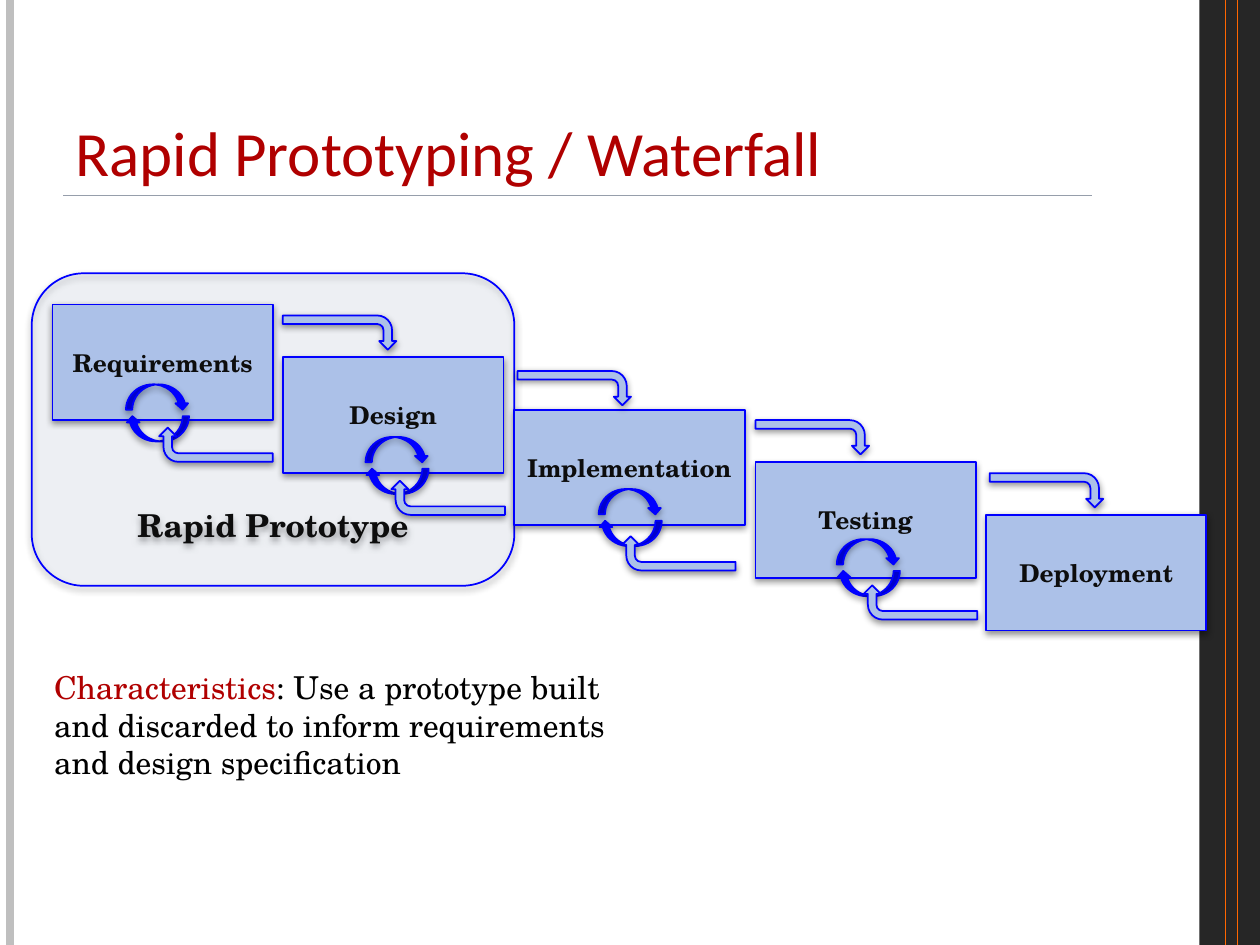
from dataclasses import dataclass

from lxml import etree
from pptx import Presentation
from pptx.dml.color import RGBColor
from pptx.enum.shapes import MSO_CONNECTOR, MSO_SHAPE
from pptx.enum.text import MSO_ANCHOR, PP_ALIGN
from pptx.oxml import parse_xml
from pptx.oxml.ns import qn
from pptx.util import Cm, Pt

RECT = MSO_SHAPE.RECTANGLE
ROUNDED = MSO_SHAPE.ROUNDED_RECTANGLE
BENT = MSO_SHAPE.BENT_ARROW
CURVED = MSO_SHAPE.CURVED_UP_ARROW
STRAIGHT = MSO_CONNECTOR.STRAIGHT
LEFT, CENTER = PP_ALIGN.LEFT, PP_ALIGN.CENTER
TOP, MIDDLE, BOTTOM = MSO_ANCHOR.TOP, MSO_ANCHOR.MIDDLE, MSO_ANCHOR.BOTTOM


@dataclass(frozen=True)
class Theme:
    accent: str = "B00000"
    ink: str = "000000"
    label: str = "0D0D0D"
    box: str = "ACC1E8"
    outline: str = "0000FF"
    band: str = "262626"
    title_font: str = "Calibri"
    body_font: str = "TeX Gyre Schola"
    title_size: int = 36
    body_size: int = 18
    stage_size: int = 14


THEME = Theme()

TITLE = "Rapid Prototyping / Waterfall"
PROTOTYPE = "Rapid Prototype"
CHARACTERISTICS = [
    ("Characteristics", THEME.accent),
    (": Use a prototype built and discarded to inform requirements and design specification", THEME.ink),
]
STAGES = [
    ("Requirements", 4.44),
    ("Design", 4.44),
    ("Implementation", 4.66),
    ("Testing", 4.44),
    ("Deployment", 4.44),
]
STAGE_LEFT, STAGE_TOP, STAGE_HEIGHT = 1.06, 6.14, 2.33
STAGE_GAP, STAGE_DROP = 0.21, 1.06
FORWARD = [(6.5, 5.56), (11.23, 6.68), (16.03, 7.67), (20.75, 8.74)]
FEEDBACK = [(4.01, 7.82), (8.69, 8.89), (13.34, 10.01), (18.21, 11)]
ITERATIONS = [(2.54, 7.75), (7.37, 8.81), (12.07, 9.86), (16.87, 10.87)]
BENT_SIZE = (0.69, 2.29)
CURVED_SIZE = (1.27, 0.51)
HALF_TURN_OFFSET = 0.64
RULES = [
    ((0.2, 0, 0.2, 19.05), "BFBFBF", 4.5),
    ((24.71, 0, 24.71, 19.05), "FF6600", 0.75),
    ((24.94, 0, 24.94, 19.05), "FF6600", 0.75),
    ((1.27, 3.94, 22.02, 3.94), "969EAB", 1),
]
SHADOW = (
    '<a:effectLst xmlns:a="http://schemas.openxmlformats.org/drawingml/2006/main">'
    '<a:outerShdw blurRad="50800" dist="20320" dir="5400000" rotWithShape="0">'
    '<a:srgbClr val="000000"><a:alpha val="42000"/></a:srgbClr>'
    "</a:outerShdw></a:effectLst>"
)


def add_rule(slide, ends, color, weight):
    rule = slide.shapes.add_connector(STRAIGHT, *map(Cm, ends))
    rule.line.color.rgb = RGBColor.from_string(color)
    rule.line.width = Pt(weight)
    etree.SubElement(rule._element.spPr, qn("a:effectLst"))


def add_outlined(shapes, preset, box, fill, rotation=0):
    shape = shapes.add_shape(preset, *map(Cm, box))
    shape.rotation = rotation
    shape.fill.solid()
    shape.fill.fore_color.rgb = RGBColor.from_string(fill)
    shape.line.color.rgb = RGBColor.from_string(THEME.outline)
    shape.line.width = Pt(1)
    shape._element.spPr.append(parse_xml(SHADOW))
    return shape


def write(shape, parts, font, size, bold=False, align=LEFT, anchor=TOP):
    frame = shape.text_frame
    frame.word_wrap = True
    frame.vertical_anchor = anchor
    paragraph = frame.paragraphs[0]
    paragraph.alignment = align
    for words, color in parts:
        run = paragraph.add_run()
        run.text = words
        run.font.name = font
        run.font.size = Pt(size)
        run.font.bold = bold
        run.font.color.rgb = RGBColor.from_string(color)


def add_frame(slide):
    band = slide.shapes.add_shape(RECT, Cm(24.18), Cm(0), Cm(1.22), Cm(19.05))
    band.shadow.inherit = False
    band.fill.solid()
    band.fill.fore_color.rgb = RGBColor.from_string(THEME.band)
    band.line.fill.background()
    for rule in RULES:
        add_rule(slide, *rule)


def add_prototype(slide):
    prototype = add_outlined(slide.shapes, ROUNDED, (0.64, 5.51, 9.73, 6.3), THEME.box)
    color = prototype._element.spPr.find(qn("a:solidFill"))[0]
    etree.SubElement(color, qn("a:alpha")).set("val", "10000")
    write(prototype, [(PROTOTYPE, THEME.label)], THEME.body_font, THEME.body_size, True, CENTER, BOTTOM)
    prototype.text_frame.margin_bottom = Cm(0.53)


def add_stages(slide):
    left = STAGE_LEFT
    for index, (name, width) in enumerate(STAGES):
        box = (left, STAGE_TOP + index * STAGE_DROP, width, STAGE_HEIGHT)
        stage = add_outlined(slide.shapes, RECT, box, THEME.box)
        write(stage, [(name, THEME.label)], THEME.body_font, THEME.stage_size, True, CENTER, MIDDLE)
        stage.text_frame.margin_left = stage.text_frame.margin_right = Cm(0.1)
        left += width + STAGE_GAP


def add_bent_arrows(slide, corners, rotation):
    for corner in corners:
        add_outlined(slide.shapes, BENT, corner + BENT_SIZE, THEME.box, rotation)


def add_iterations(slide):
    for left, top in ITERATIONS:
        cycle = slide.shapes.add_group_shape()
        for offset, rotation in ((HALF_TURN_OFFSET, 180), (0, 0)):
            box = (left, top + offset) + CURVED_SIZE
            half = add_outlined(cycle.shapes, CURVED, box, THEME.outline, rotation)
            half._element.spPr.xfrm.set("flipV", "1")


def main():
    """Build the rapid prototyping waterfall slide."""
    deck = Presentation()
    deck.slide_width, deck.slide_height = Cm(25.4), Cm(19.05)
    slide = deck.slides.add_slide(deck.slide_layouts[6])
    add_frame(slide)
    add_prototype(slide)
    title = slide.shapes.add_textbox(Cm(1.27), Cm(0.76), Cm(20.75), Cm(3.18))
    write(title, [(TITLE, THEME.accent)], THEME.title_font, THEME.title_size, anchor=BOTTOM)
    add_stages(slide)
    add_bent_arrows(slide, FORWARD, 90)
    add_iterations(slide)
    add_bent_arrows(slide, FEEDBACK, 270)
    summary = slide.shapes.add_textbox(Cm(0.84), Cm(13.34), Cm(12.7), Cm(2.57))
    write(summary, CHARACTERISTICS, THEME.body_font, THEME.body_size)
    deck.save("out.pptx")


if __name__ == "__main__":
    main()
